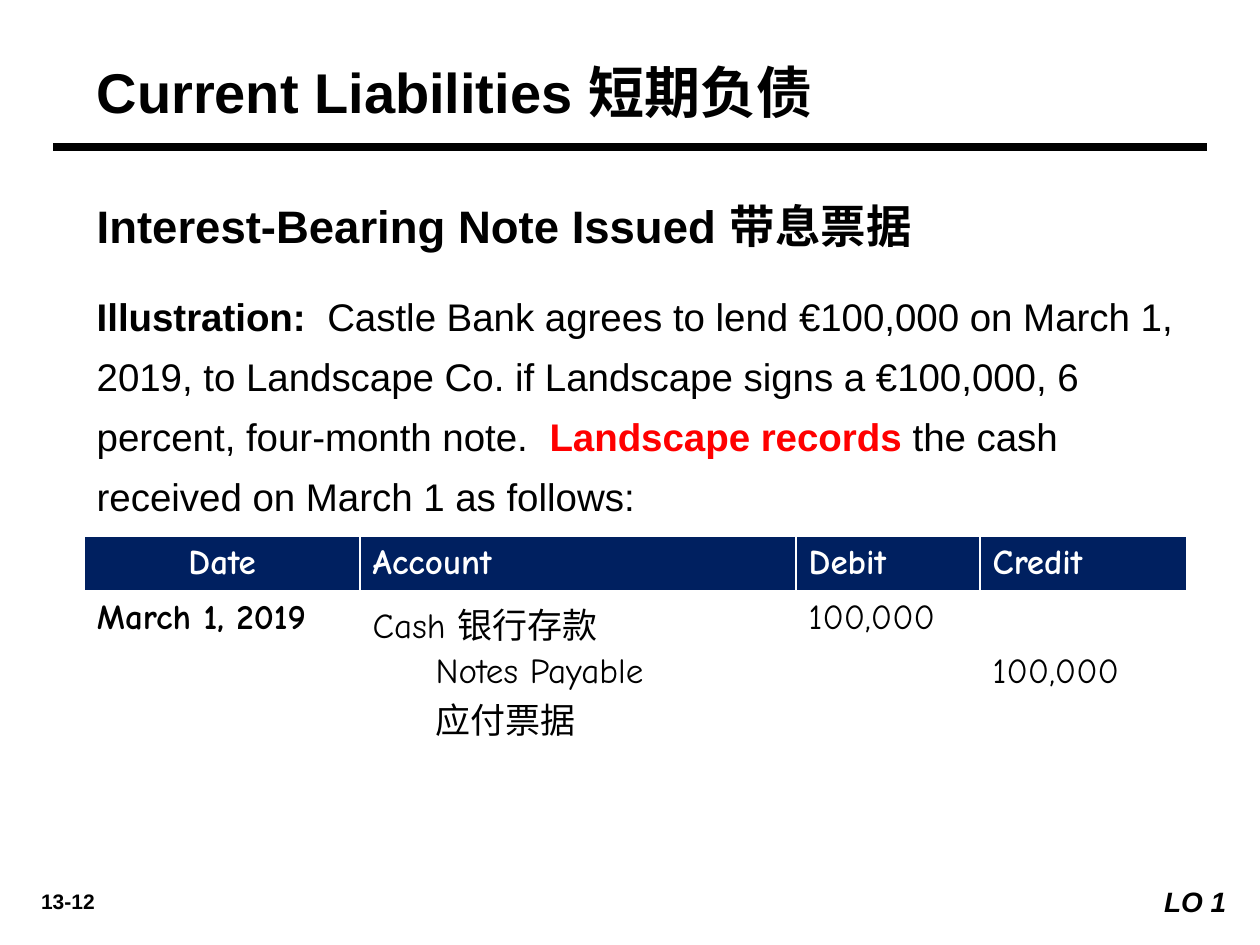
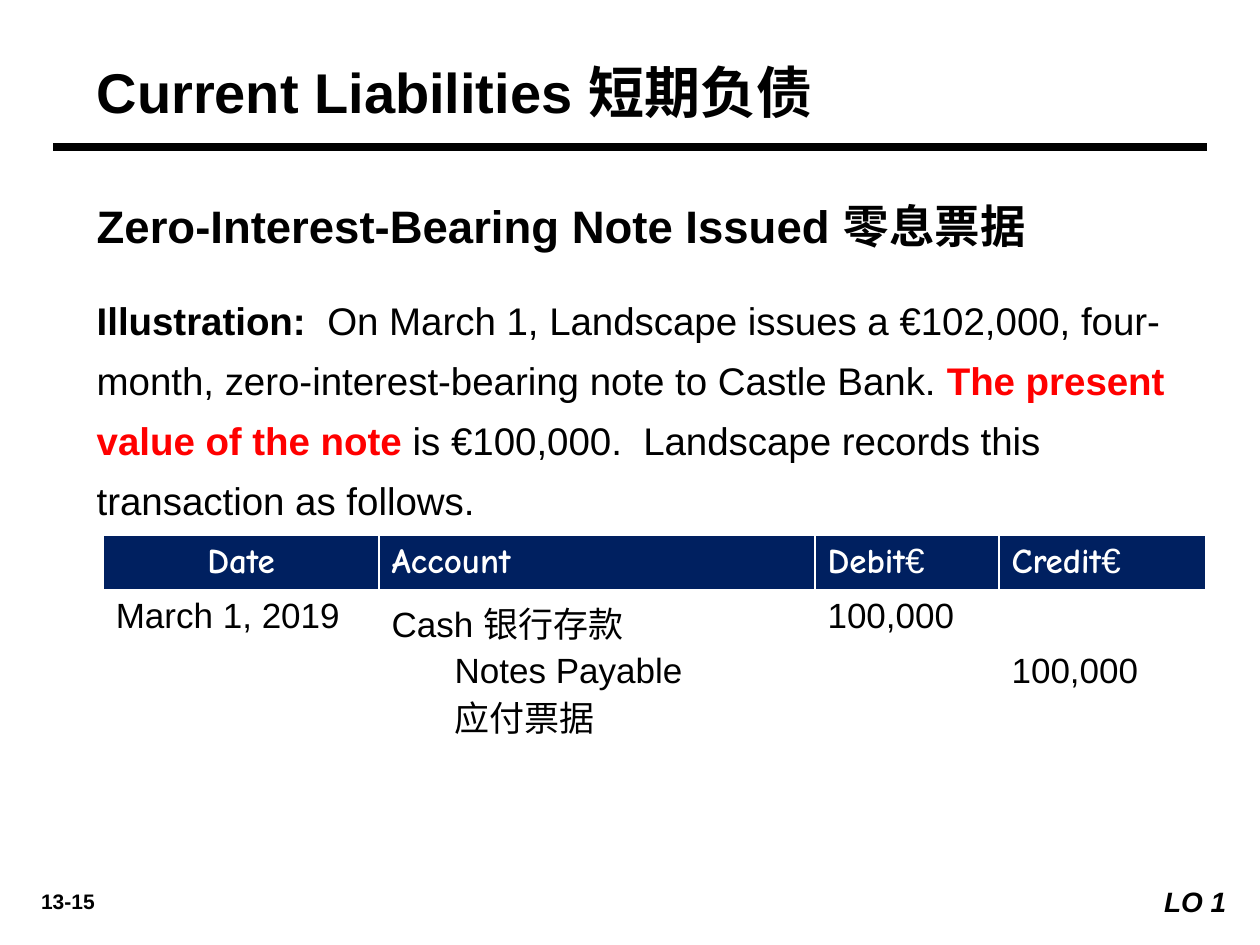
import pptx
import pptx.chart.data
import pptx.dml.color
import pptx.enum.shapes
import pptx.enum.text
import pptx.oxml.ns
import pptx.util
from lxml import etree

Cm = pptx.util.Cm
Pt = pptx.util.Pt
ALIGN = pptx.enum.text.PP_ALIGN
ANCHOR = pptx.enum.text.MSO_ANCHOR
qn = pptx.oxml.ns.qn

COLORS = {"ink": "000000", "accent": "FF0000", "header": "002060", "paper": "FFFFFF"}
SANS = "Arial"
HAND = "Comic Neue"
COLUMN_WIDTHS = [5.56, 8.79, 3.71, 4.17]
ROW_HEIGHTS = [0.92, 0.93, 1.8]
LEFT = 1.7


def rgb(name):
    return pptx.dml.color.RGBColor.from_string(COLORS[name])


def run(text, size=20, font=SANS, color="ink", bold=False, italic=False):
    return text, size, font, color, bold, italic


class LedgerDeck:
    def __init__(self):
        self.prs = pptx.Presentation()
        self.prs.slide_width, self.prs.slide_height = Cm(25.4), Cm(19.05)
        self.slide = None

    def new_slide(self, number):
        self.slide = self.prs.slides.add_slide(self.prs.slide_layouts[6])
        self.text((0.2, 17.78, 2.34, 0.76), [run(number, 12, bold=True)], ALIGN.CENTER)
        self.rule(1.07, 24.33, 2.97)
        self.objective([run("LO 1", 16, bold=True, italic=True)])
        self.text((LEFT, 1.07, 23.29, 1.55),
                  [run("Current Liabilities 短期负债", 32, bold=True)], anchor=ANCHOR.MIDDLE)

    def fill_paragraph(self, paragraph, runs, align=ALIGN.LEFT, spacing=None):
        paragraph.alignment = align
        if spacing:
            paragraph.line_spacing = spacing
        for text, size, font, color, bold, italic in runs:
            piece = paragraph.add_run()
            piece.text = text
            piece.font.size = Pt(size)
            piece.font.name = font
            piece.font.color.rgb = rgb(color)
            piece.font.bold = bold
            piece.font.italic = italic

    def text(self, box, runs, align=ALIGN.LEFT, spacing=None, anchor=ANCHOR.TOP):
        frame = self.slide.shapes.add_textbox(*map(Cm, box)).text_frame
        frame.word_wrap = True
        frame.vertical_anchor = anchor
        self.fill_paragraph(frame.paragraphs[0], runs, align, spacing)

    def rule(self, start, end, y):
        line = self.slide.shapes.add_connector(
            pptx.enum.shapes.MSO_CONNECTOR.STRAIGHT, Cm(start), Cm(y), Cm(end), Cm(y))
        line.line.color.rgb = rgb("ink")
        line.line.width = Pt(4.5)
        etree.SubElement(line._element.spPr, qn("a:effectLst"))

    def objective(self, runs):
        label = self.slide.shapes.add_shape(
            pptx.enum.shapes.MSO_SHAPE.RECTANGLE, Cm(22.43), Cm(17.7), Cm(2.54), Cm(0.94))
        label.shadow.inherit = False
        label.fill.solid()
        label.fill.fore_color.rgb = rgb("paper")
        label.line.fill.background()
        label.text_frame.word_wrap = True
        self.fill_paragraph(label.text_frame.paragraphs[0], runs, ALIGN.RIGHT)

    def borders(self, cell, bottom):
        properties = cell._tc.get_or_add_tcPr()
        for side, width in (("L", 1), ("R", 1), ("T", 1), ("B", bottom)):
            edge = etree.SubElement(properties, qn(f"a:ln{side}"), w=str(Pt(width)))
            solid = etree.SubElement(edge, qn("a:solidFill"))
            etree.SubElement(solid, qn("a:srgbClr"), val=COLORS["paper"])

    def journal(self, left, top, entries):
        table = self.slide.shapes.add_table(
            len(ROW_HEIGHTS), len(COLUMN_WIDTHS), Cm(left), Cm(top),
            Cm(sum(COLUMN_WIDTHS)), Cm(sum(ROW_HEIGHTS))).table
        for column, width in zip(table.columns, COLUMN_WIDTHS):
            column.width = Cm(width)
        for row, height in zip(table.rows, ROW_HEIGHTS):
            row.height = Cm(height)
        for r, entry in enumerate(entries):
            for c, lines in enumerate(entry):
                cell = table.cell(r, c)
                self.borders(cell, 2 if r == 0 else 1)
                cell.fill.solid()
                cell.fill.fore_color.rgb = rgb("header" if r == 0 else "paper")
                for i, runs in enumerate(lines):
                    frame = cell.text_frame
                    paragraph = frame.add_paragraph() if i else frame.paragraphs[0]
                    self.fill_paragraph(paragraph, runs,
                                        ALIGN.CENTER if r == c == 0 else ALIGN.LEFT)
                    if r == 2 and c == 1:
                        paragraph._p.get_or_add_pPr().set("marL", str(Cm(1.27)))

    def note_slide(self, number, heading, story, story_top, journal_at,
                   font, date_bold, unit=""):
        self.new_slide(number)
        self.text((LEFT, 3.81, 22.23, 1.37), [run(heading, 26, bold=True)],
                  spacing=1.1, anchor=ANCHOR.MIDDLE)
        intro, emphasis, ending = story
        self.text((LEFT, story_top, 22.43, 4.95), [
            run("Illustration:  ", 22, bold=True),
            run(intro, 22),
            run(emphasis, 22, color="accent", bold=True),
            run(ending, 22)], spacing=1.3)

        def body(text, bold=False):
            return [run(text, font=font, bold=bold)]

        titles = [[[run(title, font=HAND, color="paper", bold=True)]]
                  for title in ("Date", "Account", "Debit", "Credit")]
        if unit:
            for title in titles[2:]:
                title[0].append(run(unit, color="paper"))
        amount = [body("100,000")]
        self.journal(*journal_at, [
            titles,
            [[body("March 1, 2019", date_bold)], [body("Cash 银行存款")], amount, []],
            [[], [body("Notes Payable"), body("应付票据")], [], amount]])


def main():
    deck = LedgerDeck()
    deck.note_slide(
        "13-12", "Interest-Bearing Note Issued 带息票据",
        ("Castle Bank agrees to lend €100,000 on March 1, 2019, to Landscape Co. "
         "if Landscape signs a €100,000, 6 percent, four-month note.  ",
         "Landscape records ", "the cash received on March 1 as follows:"),
        5.51, (LEFT, 10.82), HAND, True)
    deck.note_slide(
        "13-15", "Zero-Interest-Bearing Note Issued 零息票据",
        ("On March 1, Landscape issues a €102,000, four-month, "
         "zero-interest-bearing note to Castle Bank. ",
         "The present value of the note ",
         "is €100,000.  Landscape records this transaction as follows."),
        5.59, (2.08, 10.8), SANS, False, "€")
    deck.prs.save("out.pptx")


if __name__ == "__main__":
    main()
